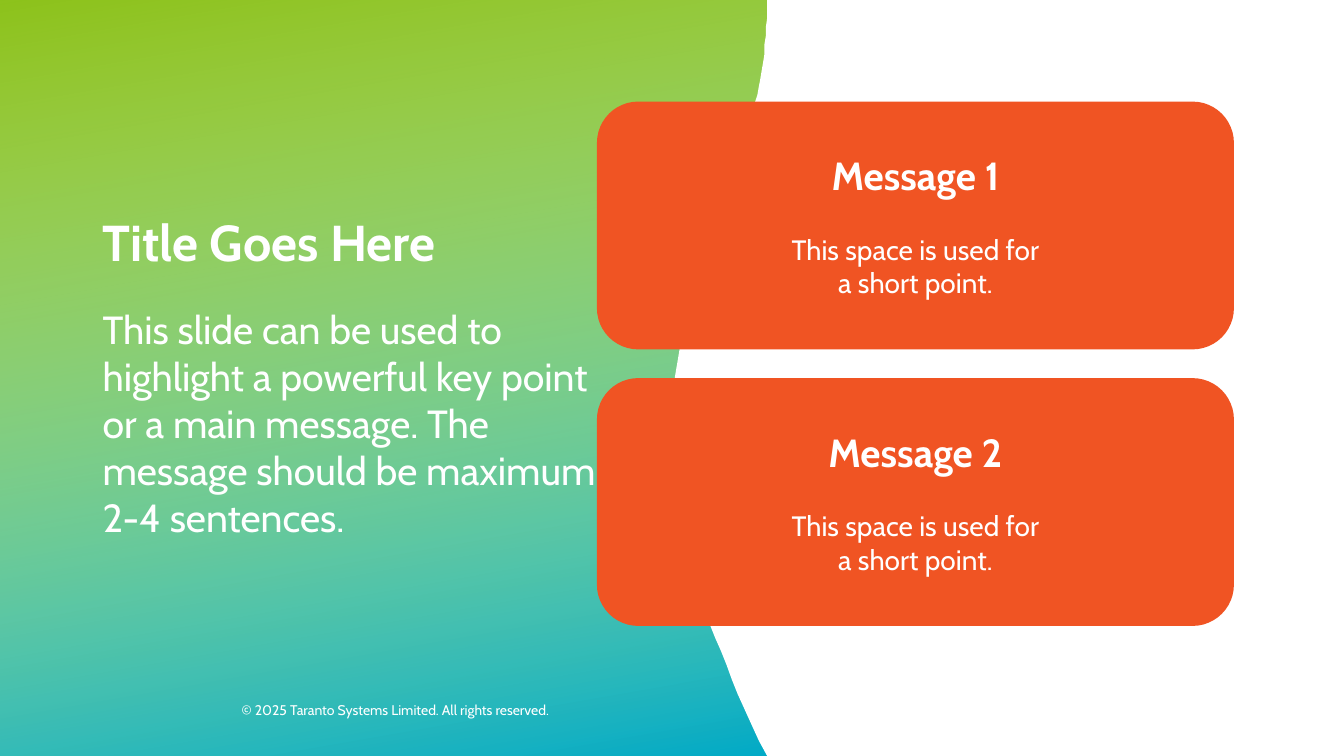
from lxml import etree
from pptx import Presentation
from pptx.dml.color import RGBColor
from pptx.enum import shapes, text
from pptx.oxml import ns
from pptx.util import Pt

SLIDE_WIDTH, SLIDE_HEIGHT = 960, 540
PANEL_WIDTH = 550.8
FONT = "Cabin"
WHITE, ORANGE, BLUE, CYAN, GREEN = "FFFFFF", "F05423", "00ABC8", "00CDF0", "80BC00"


def color(hex_value):
    return RGBColor.from_string(hex_value)


def write(paragraph, content, size, bold=False, align=text.PP_ALIGN.LEFT,
          line_spacing=None, space_before=0):
    """Fill a paragraph; a vertical tab in the content is a line break."""
    paragraph.text = content
    paragraph.alignment = align
    paragraph.line_spacing = line_spacing
    paragraph.space_before = Pt(space_before)
    for run in paragraph.runs:
        run.font.name = FONT
        run.font.size = Pt(size)
        run.font.bold = bold
        run.font.color.rgb = color(WHITE)


def add_text(slide, box, content, **text_format):
    shape = slide.shapes.add_textbox(*map(Pt, box))
    shape.text_frame.word_wrap = True
    write(shape.text_frame.paragraphs[0], content, **text_format)


def add_plain_shape(slide, kind, box):
    shape = slide.shapes.add_shape(kind, *map(Pt, box))
    shape.shadow.inherit = False
    shape.line.fill.background()
    return shape


def add_gradient(slide, box, stops):
    """Draw a rectangle fading upwards; each stop is a colour and its opacity in percent."""
    shape = add_plain_shape(slide, shapes.MSO_SHAPE.RECTANGLE, box)
    shape.fill.gradient()
    shape.fill.gradient_angle = 100
    for stop, (hex_value, _) in zip(shape.fill.gradient_stops, stops):
        stop.color.rgb = color(hex_value)
    fills = shape.element.spPr.iter(ns.qn("a:srgbClr"))
    for fill, (_, opacity) in zip(list(fills), stops):
        etree.SubElement(fill, ns.qn("a:alpha"), val=str(opacity * 1000))


def add_curved_page(slide, left, right, height):
    """Cover the right of the slide in white, with a Bézier curve as its left edge."""
    controls = [(left, 0), (left, 180), (left - 152.6, 234.7), (left, height)]
    steps = 80

    def point_at(t):
        weights = ((1 - t) ** 3, 3 * t * (1 - t) ** 2, 3 * t ** 2 * (1 - t), t ** 3)
        return tuple(sum(weight * control[axis] for weight, control in zip(weights, controls))
                     for axis in (0, 1))

    builder = slide.shapes.build_freeform(right, 0, scale=Pt(1))
    curve = [point_at(step / steps) for step in range(steps + 1)]
    builder.add_line_segments(curve + [(right, height)], close=True)
    page = builder.convert_to_shape()
    page.shadow.inherit = False
    page.fill.solid()
    page.fill.fore_color.rgb = color(WHITE)
    page.line.fill.background()


def add_background(slide):
    panel = (0, 0, PANEL_WIDTH, SLIDE_HEIGHT)
    add_gradient(slide, panel, [(BLUE, 100), (CYAN, 0)])
    add_gradient(slide, panel, [(GREEN, 0), (GREEN, 90)])
    add_curved_page(slide, 548, SLIDE_WIDTH, SLIDE_HEIGHT)
    add_text(slide, (165.6, 497.5, 629.3, 19.4),
             "© 2025 Taranto Systems Limited. All rights reserved.", size=10)


def add_main_message(slide, left, top, title_text, message):
    title = slide.shapes.title
    title.element.getparent().append(title.element)  # in front of the background
    title_height = 79.2
    title.left, title.top, title.width, title.height = map(Pt, (left, top, 414, title_height))
    frame = title.text_frame
    frame.auto_size = text.MSO_AUTO_SIZE.NONE
    frame.vertical_anchor = text.MSO_ANCHOR.MIDDLE
    write(frame.paragraphs[0], title_text, size=36, bold=True, line_spacing=0.9)
    add_text(slide, (left, top + title_height, 378.7, 177), message, size=28)


def add_card(slide, box, heading, point):
    card = add_plain_shape(slide, shapes.MSO_SHAPE.ROUNDED_RECTANGLE, box)
    card.fill.solid()
    card.fill.fore_color.rgb = color(ORANGE)
    frame = card.text_frame
    frame.word_wrap = True
    frame.vertical_anchor = text.MSO_ANCHOR.MIDDLE
    center = text.PP_ALIGN.CENTER
    write(frame.paragraphs[0], heading, size=28, bold=True, align=center)
    write(frame.add_paragraph(), point, size=20, align=center, space_before=24)


def main():
    presentation = Presentation()
    presentation.slide_width, presentation.slide_height = Pt(SLIDE_WIDTH), Pt(SLIDE_HEIGHT)
    slide = presentation.slides.add_slide(presentation.slide_layouts[5])
    add_background(slide)
    add_main_message(
        slide, 66.2, 135.4, "Title Goes Here",
        "This slide can be used to highlight a powerful key point or a main message. "
        "The message should be maximum 2-4 sentences.")
    for index, heading in enumerate(("Message 1", "Message 2")):
        add_card(slide, (426.4, 72.6 + 197.5 * index, 455, 177), heading,
                 "This space is used for\va short point.")
    presentation.save("out.pptx")


if __name__ == "__main__":
    main()
